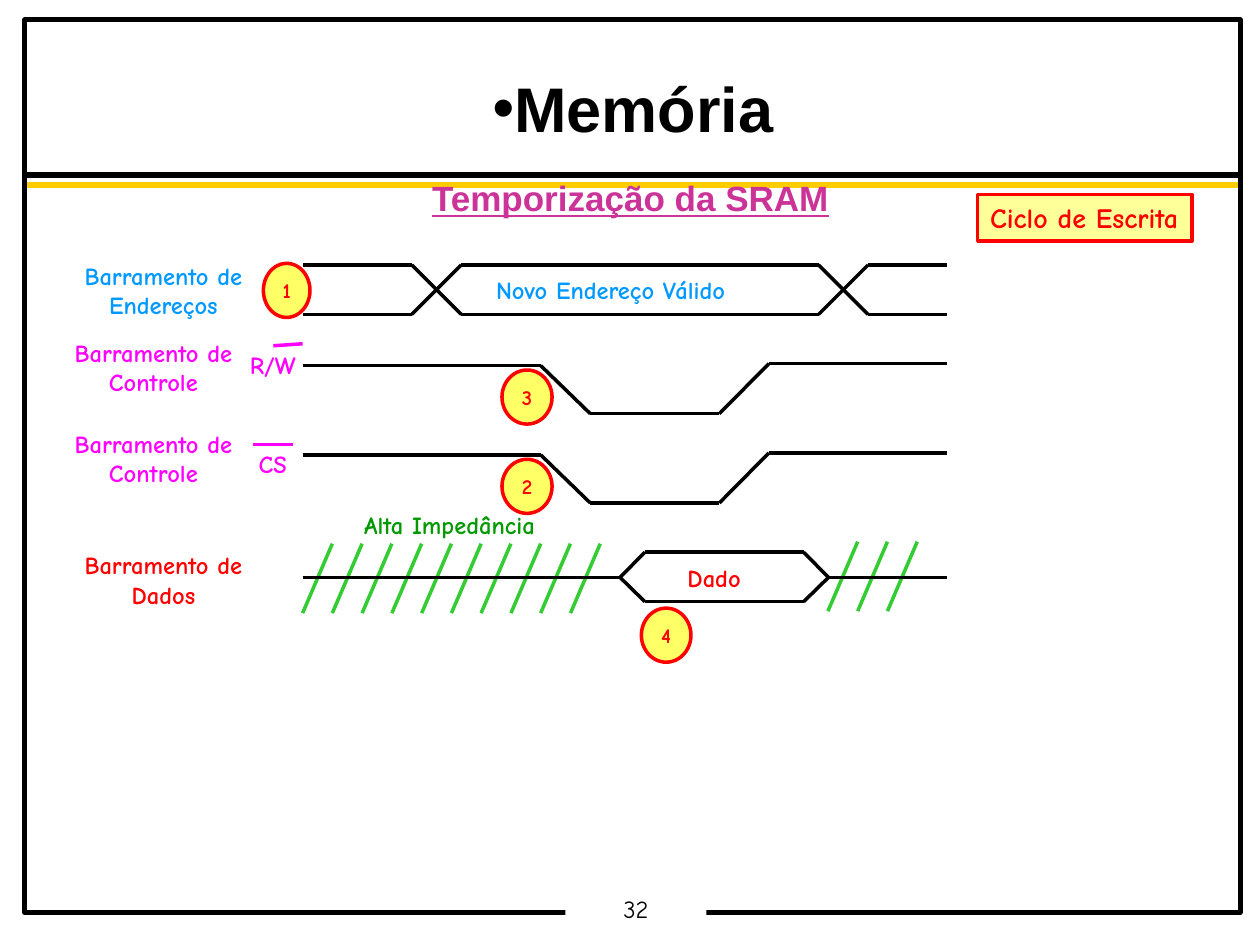
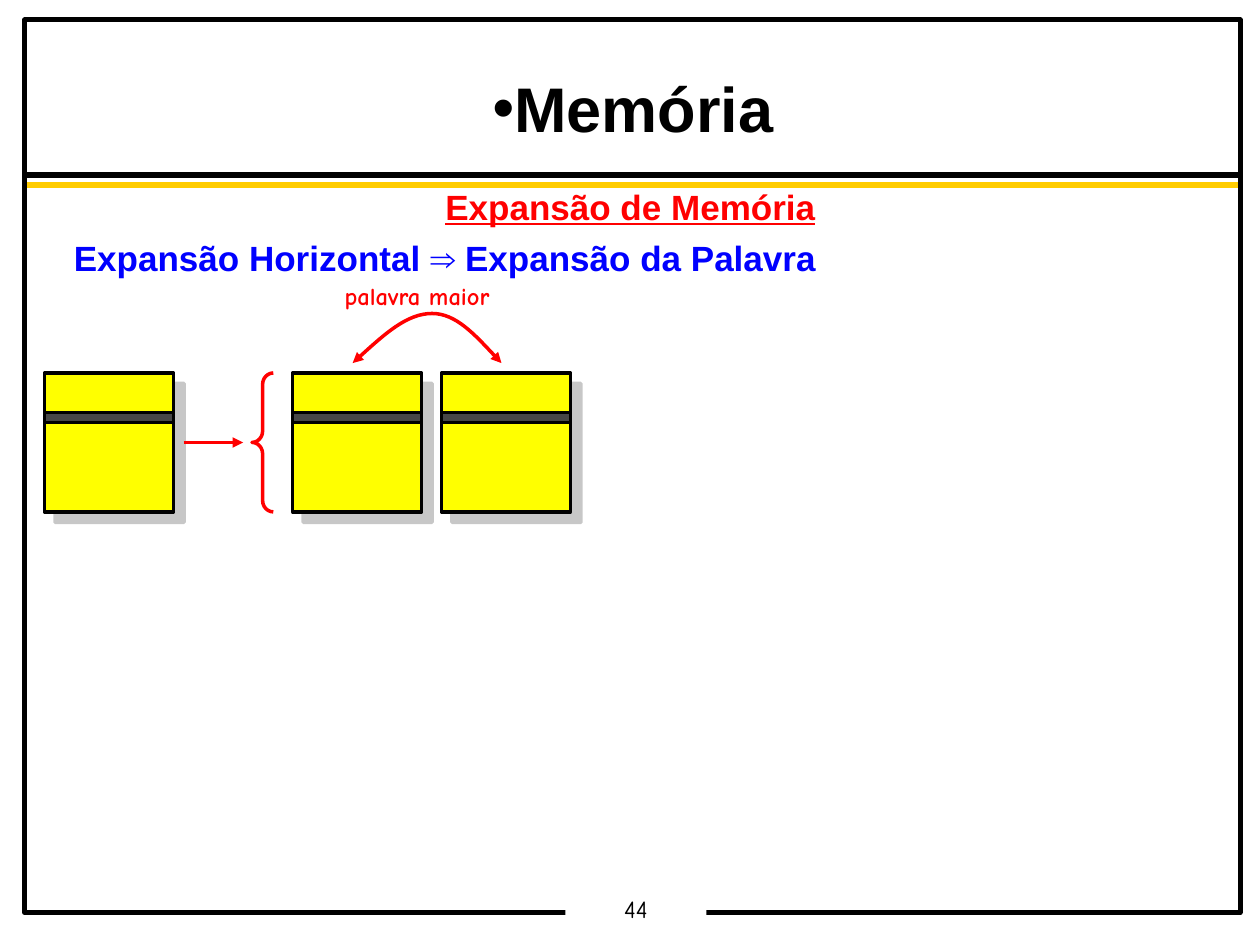
from dataclasses import dataclass
from itertools import pairwise

from lxml import etree
from pptx import Presentation
from pptx import util as u
from pptx.dml.color import RGBColor
from pptx.enum import shapes, text
from pptx.oxml.ns import qn

BLACK = RGBColor(0x00, 0x00, 0x00)
WHITE = RGBColor(0xFF, 0xFF, 0xFF)
GOLD = RGBColor(0xFF, 0xCC, 0x00)
YELLOW = RGBColor(0xFF, 0xFF, 0x00)
RED = RGBColor(0xFF, 0x00, 0x00)
BLUE = RGBColor(0x00, 0x00, 0xFF)
SKY = RGBColor(0x00, 0x99, 0xFF)
PINK = RGBColor(0xFF, 0x00, 0xFF)
PLUM = RGBColor(0xCC, 0x33, 0x99)
GREEN = RGBColor(0x00, 0x99, 0x00)
LIME = RGBColor(0x33, 0xCC, 0x33)
DARK = RGBColor(0x47, 0x47, 0x47)
SHADE = RGBColor(0x91, 0x91, 0x91)

SANS = "Arial"
COMIC = "Comic Neue"
MID = text.PP_ALIGN.CENTER
LEFT = text.PP_ALIGN.LEFT
RECT = shapes.MSO_SHAPE.RECTANGLE
Point = tuple[float, float]


@dataclass
class Box:
    x: float
    y: float
    w: float
    h: float

    def place(self) -> list[u.Cm]:
        return [u.Cm(v) for v in (self.x, self.y, self.w, self.h)]


@dataclass
class Label:
    words: str
    box: Box
    color: RGBColor
    wrap: bool = False


@dataclass
class Badge:
    digit: str
    box: Box


@dataclass
class Line:
    words: str
    color: RGBColor
    align: text.PP_ALIGN
    under: bool


def add_tag(parent, tag: str, **attrs: str):
    return etree.SubElement(parent, qn(tag), attrs)


def style(para, size: float, color: RGBColor, align: text.PP_ALIGN = LEFT,
          face: str = COMIC, bold: bool = True, under: bool = False) -> None:
    para.alignment = align
    for run in para.runs:
        font = run.font
        font.name, font.size = face, u.Pt(size)
        font.bold, font.underline = bold, under
        font.color.rgb = color


def set_pad(frame, side: float = 0.25, edge: float = 0.13) -> None:
    frame.margin_left = frame.margin_right = u.Cm(side)
    frame.margin_top = frame.margin_bottom = u.Cm(edge)


def add_form(slide, kind: shapes.MSO_SHAPE, box: Box, fill: RGBColor | None,
             edge: RGBColor | None, width: float = 2, alpha: int = 100):
    form = slide.shapes.add_shape(kind, *box.place())
    form.shadow.inherit = False
    if fill is None:
        form.fill.background()
    else:
        form.fill.solid()
        form.fill.fore_color.rgb = fill
        if alpha < 100:
            tint = form.fill._xPr.find(qn("a:solidFill"))[0]
            add_tag(tint, "a:alpha", val=str(alpha * 1000))
    if edge is None:
        form.line.fill.background()
    else:
        form.line.color.rgb = edge
        form.line.width = u.Pt(width)
    return form


def fill_form(form, words: str, size: float, color: RGBColor,
              align: text.PP_ALIGN = MID, bold: bool = True) -> None:
    frame = form.text_frame
    frame.text = words
    frame.word_wrap = False
    set_pad(frame)
    style(frame.paragraphs[0], size, color, align, bold=bold)


def add_line(slide, start: Point, end: Point, color: RGBColor = BLACK, width: float = 2):
    link = slide.shapes.add_connector(shapes.MSO_CONNECTOR.STRAIGHT,
                                      *[u.Cm(v) for v in (*start, *end)])
    add_tag(link._element.spPr, "a:effectLst")
    link.line.color.rgb = color
    link.line.width = u.Pt(width)
    return link


def add_trace(slide, points: list[Point]) -> None:
    for start, end in pairwise(points):
        add_line(slide, start, end)


def add_heads(line, *ends: str) -> None:
    for end in ends:
        add_tag(line._get_or_add_ln(), end, type="triangle")


def add_label(slide, label: Label) -> None:
    frame = slide.shapes.add_textbox(*label.box.place()).text_frame
    frame.text = label.words
    frame.word_wrap = label.wrap
    set_pad(frame)
    style(frame.paragraphs[0], 14, label.color, MID if label.wrap else LEFT)


def add_badge(slide, badge: Badge) -> None:
    form = add_form(slide, shapes.MSO_SHAPE.OVAL, badge.box, YELLOW, RED, alpha=60)
    fill_form(form, badge.digit, 12, RED)
    form.text_frame.vertical_anchor = text.MSO_ANCHOR.MIDDLE


def add_body(slide, top: float, lines: list[Line]) -> None:
    frame = slide.shapes.add_textbox(*Box(1.24, top, 22.94, 13.03).place()).text_frame
    frame.word_wrap = True
    set_pad(frame)
    for i, line in enumerate(lines):
        para = frame.add_paragraph() if i else frame.paragraphs[0]
        para.text = line.words
        para.line_spacing = 0.9
        para.space_before = u.Pt(7.5 if i else 0)
        style(para, 20, line.color, line.align, SANS, under=line.under)


def set_title(slide, words: str) -> None:
    title = slide.shapes.title
    title.left, title.top, title.width, title.height = Box(0.51, 0.51, 24.5, 3).place()
    frame = title.text_frame
    frame.text = words
    frame.word_wrap = True
    frame.auto_size = text.MSO_AUTO_SIZE.NONE
    frame.vertical_anchor = text.MSO_ANCHOR.TOP
    set_pad(frame)
    para = frame.paragraphs[0]
    para.line_spacing = 1.5
    props = para._p.get_or_add_pPr()
    props.set("marL", "0")
    props.set("indent", "0")
    tint = add_tag(props, "a:buClr")
    add_tag(tint, "a:srgbClr", val=str(BLACK))
    add_tag(props, "a:buFont", typeface=SANS)
    add_tag(props, "a:buChar", char="•")
    style(para, 36, BLACK, MID, SANS)


def add_slide(deck, page: int):
    slide = deck.slides.add_slide(deck.slide_layouts[5])
    for y, color in ((3.53, BLACK), (3.73, GOLD)):
        add_line(slide, (0.51, y), (25, y), color, 3)
    add_form(slide, RECT, Box(0.5, 0.4, 24.5, 18), None, BLACK, 2.83)
    foot = add_form(slide, RECT, Box(11.4, 18, 2.84, 0.69), WHITE, None)
    fill_form(foot, str(page), 14, BLACK, bold=False)
    set_pad(foot.text_frame, 0.18, 0.08)
    foot.text_frame.vertical_anchor = text.MSO_ANCHOR.TOP
    foot.text_frame.paragraphs[0].line_spacing = 0.9
    set_title(slide, "Memória")
    return slide


def add_hatch(slide, left: float, top: float, count: int) -> None:
    step = 0.6
    for i in range(count):
        x = left + i * step
        add_line(slide, (x + step, top), (x, top + 1.4), LIME)


def add_pulse(slide, high: float) -> None:
    low, end = high + 0.97, high - 0.04
    add_trace(slide, [(6.1, high), (10.9, high), (11.9, low),
                      (14.5, low), (15.5, end), (19.1, end)])


def build_timing(deck) -> None:
    slide = add_slide(deck, 32)
    add_body(slide, 3.53, [Line("Temporização da SRAM", PLUM, MID, True)])

    high, low = 5.34, 6.34
    for one, two in ((high, low), (low, high)):
        add_trace(slide, [(6.1, one), (8.3, one), (9.3, two),
                          (16.5, two), (17.5, one), (19.1, one)])
    for top in (7.37, 9.17):
        add_pulse(slide, top)

    for left, top, count in ((6.1, 10.96, 10), (16.69, 10.92, 3)):
        add_hatch(slide, left, top, count)
    mid = 11.64
    add_line(slide, (6.1, mid), (12.5, mid))
    for edge in (11.13, 12.13):
        add_trace(slide, [(12.5, mid), (13, edge), (16.2, edge), (16.7, mid)])
    add_line(slide, (16.7, mid), (19.1, mid))

    labels = [
        Label("Alta Impedância", Box(7.09, 10.16, 4.2, 0.86), GREEN),
        Label("Dado", Box(13.61, 11.23, 2.2, 0.86), RED),
        Label("Novo Endereço Válido", Box(9.75, 5.41, 5.4, 0.86), SKY),
        Label("Barramento de Endereços", Box(1.3, 5.13, 3.99, 1.45), SKY, True),
        Label("Barramento de Controle", Box(1.1, 6.68, 3.99, 1.45), PINK, True),
        Label("Barramento de Controle", Box(1.1, 8.52, 3.99, 1.45), PINK, True),
        Label("Barramento de Dados", Box(1.3, 10.96, 3.99, 1.45), RED, True),
        Label("R/W", Box(4.5, 6.93, 2, 0.86), PINK, True),
        Label("CS", Box(4.7, 8.92, 1.6, 0.86), PINK, True),
    ]
    for label in labels:
        add_label(slide, label)
    add_line(slide, (5.51, 6.97), (6.1, 6.93), PINK)
    add_line(slide, (5.1, 8.96), (5.9, 8.96), PINK)

    badges = [
        Badge("1", Box(5.31, 5.31, 0.94, 1.09)),
        Badge("2", Box(10.12, 9.26, 1.01, 1.09)),
        Badge("3", Box(10.12, 7.46, 1.01, 1.09)),
        Badge("4", Box(12.93, 12.26, 1, 1.09)),
    ]
    for badge in badges:
        add_badge(slide, badge)

    cycle = add_form(slide, RECT, Box(19.71, 3.92, 4.32, 0.94), YELLOW, RED, alpha=40)
    fill_form(cycle, "Ciclo de Escrita", 16, RED, LEFT)
    cycle.text_frame.vertical_anchor = text.MSO_ANCHOR.TOP


def add_chip(slide, left: float) -> None:
    body = add_form(slide, RECT, Box(left, 7.52, 2.6, 2.8), YELLOW, BLACK)
    glow = body._element.spPr.find(qn("a:effectLst"))
    cast = add_tag(glow, "a:outerShdw", blurRad="0", dist=str(u.Pt(8.5)),
                   dir="2700000", algn="ctr", rotWithShape="0")
    tint = add_tag(cast, "a:srgbClr", val=str(SHADE))
    add_tag(tint, "a:alpha", val="50000")
    add_form(slide, RECT, Box(left, 8.32, 2.6, 0.2), DARK, BLACK)


def add_curve(slide, points: list[Point]):
    spots = [(u.Cm(x), u.Cm(y)) for x, y in points]
    pen = slide.shapes.build_freeform(*spots[0])
    pen.add_line_segments(spots[1:], close=False)
    curve = pen.convert_to_shape()
    curve.shadow.inherit = False
    curve.fill.background()
    curve.line.color.rgb = RED
    curve.line.width = u.Pt(2)
    legs = list(curve._element.iter(qn("a:lnTo")))
    route = legs[0].getparent()
    for i in range(0, len(legs), 3):
        bend = add_tag(route, "a:cubicBezTo")
        for leg in legs[i:i + 3]:
            bend.append(leg[0])
            route.remove(leg)
    return curve


def build_growth(deck) -> None:
    slide = add_slide(deck, 44)
    add_body(slide, 3.7, [
        Line("Expansão de Memória", RED, MID, True),
        Line("Expansão Horizontal ⇒ Expansão da Palavra", BLUE, LEFT, False),
    ])
    for left in (0.9, 5.9, 8.9):
        add_chip(slide, left)
    brace = add_form(slide, shapes.MSO_SHAPE.LEFT_BRACE, Box(5.08, 7.52, 0.43, 2.8), None, RED)
    brace.adjustments[0] = 0.53
    arrow = add_line(slide, (3.7, 8.92), (4.9, 8.92), RED)
    add_heads(arrow.line, "a:tailEnd")
    add_label(slide, Label("palavra maior", Box(6.7, 5.53, 3.7, 0.86), RED))
    curve = add_curve(slide, [(7.11, 7.32), (7.65, 6.83), (8.2, 6.32), (8.71, 6.32),
                              (9.19, 6.32), (9.65, 6.83), (10.11, 7.32)])
    add_heads(curve.line, "a:headEnd", "a:tailEnd")


def main() -> None:
    deck = Presentation()
    deck.slide_width, deck.slide_height = u.Cm(25.4), u.Cm(19.05)
    build_timing(deck)
    build_growth(deck)
    deck.save("out.pptx")


if __name__ == "__main__":
    main()
